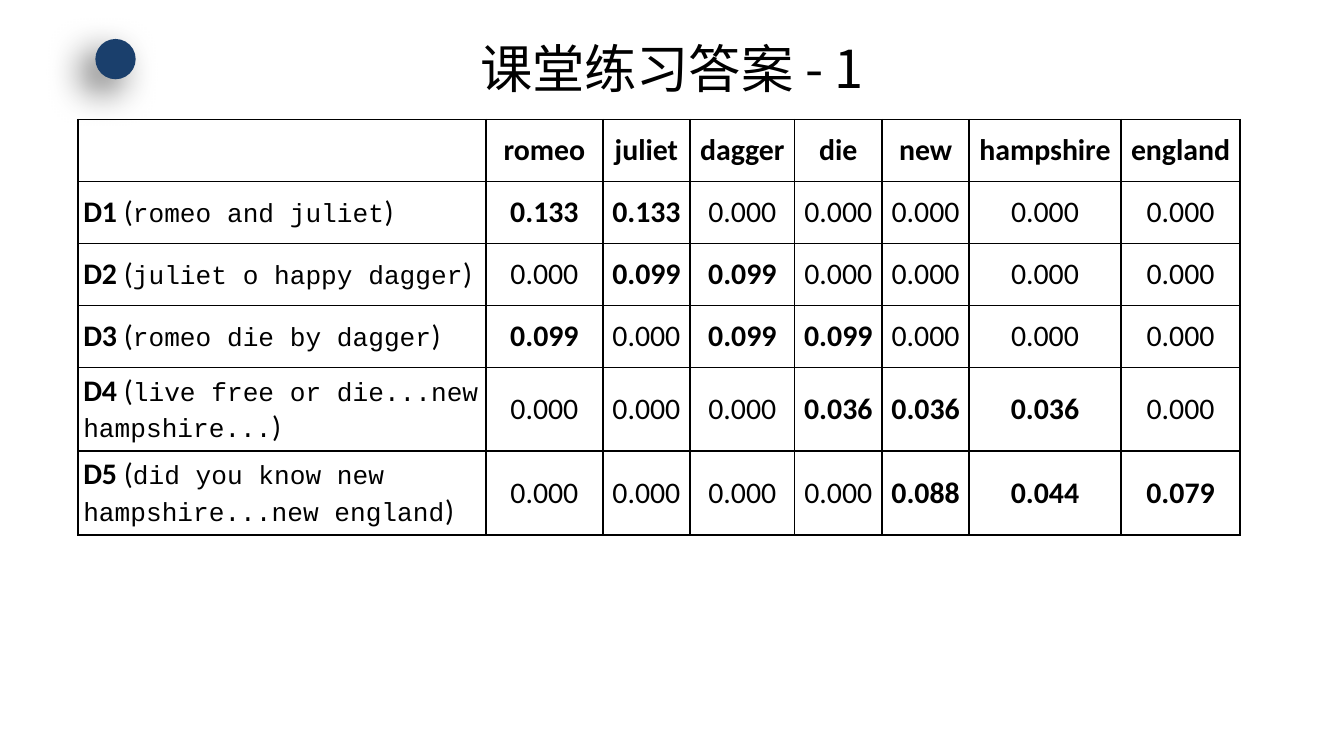
from lxml import etree
from pptx import Presentation
from pptx.dml.color import RGBColor
from pptx.enum.shapes import MSO_SHAPE
from pptx.enum.text import MSO_ANCHOR, PP_ALIGN
from pptx.oxml import parse_xml
from pptx.oxml.ns import nsdecls, qn
from pptx.util import Inches, Pt

CENTER, LEFT, MIDDLE = PP_ALIGN.CENTER, PP_ALIGN.LEFT, MSO_ANCHOR.MIDDLE
OVAL = MSO_SHAPE.OVAL
BODY, MONO, CJK = "Calibri", "Courier New", "Noto Sans CJK SC"
BLACK, NAVY = "000000", "1A3F6C"

TITLE = "课堂练习答案 - 1"
TERMS = ["romeo", "juliet", "dagger", "die", "new", "hampshire", "england"]
DOCUMENTS = [
    ("D1", "romeo and juliet", [0.133, 0.133, 0, 0, 0, 0, 0]),
    ("D2", "juliet o happy dagger", [0, 0.099, 0.099, 0, 0, 0, 0]),
    ("D3", "romeo die by dagger", [0.099, 0, 0.099, 0.099, 0, 0, 0]),
    ("D4", "live free or die...new hampshire...", [0, 0, 0, 0.036, 0.036, 0.036, 0]),
    ("D5", "did you know new hampshire...new england", [0, 0, 0, 0, 0.088, 0.044, 0.079]),
]
TABLE_WIDTH, TABLE_HEIGHT = Inches(8.65), Inches(3.09)
COL_SHARES = [3.04, 0.87, 0.65, 0.78, 0.65, 0.65, 1.13, 0.89]
ROW_SHARES = [0.46] * 4 + [0.62] * 2


def rgb(color):
    return RGBColor.from_string(color)


def split(length, shares):
    return [round(length * share / sum(shares)) for share in shares]


def add_run(p, text, size=16, font=BODY, bold=False):
    r = p.add_run()
    r.text = text
    r.font.size, r.font.name, r.font.bold = Pt(size), font, bold
    r.font.color.rgb = rgb(BLACK)
    return r


def add_shadow(shape, blur, distance, angle, opacity):
    shape._element.spPr.append(parse_xml(
        f'<a:effectLst {nsdecls("a")}><a:outerShdw blurRad="{Pt(blur)}" dist="{Pt(distance)}" '
        f'dir="{angle * 60000}" algn="ctr" rotWithShape="0"><a:srgbClr val="{BLACK}">'
        f'<a:alpha val="{opacity * 1000}"/></a:srgbClr></a:outerShdw></a:effectLst>'))


def format_cell(cell):
    """Give a cell thin black borders, no fill and narrow margins."""
    cell.vertical_anchor = MIDDLE
    cell.margin_left = cell.margin_right = Inches(0.04)
    cell.margin_top = cell.margin_bottom = Inches(0.02)
    for side in "LRTB":
        cell._tc.get_or_add_tcPr().append(parse_xml(
            f'<a:ln{side} {nsdecls("a")} w="{Pt(1)}"><a:solidFill>'
            f'<a:srgbClr val="{BLACK}"/></a:solidFill></a:ln{side}>'))
    cell.fill.background()


def add_title(s):
    title = s.shapes.title
    title.left, title.top = Inches(0.5), Inches(0.23)
    title.width, title.height = Inches(9), Inches(0.55)
    tf = title.text_frame
    tf.vertical_anchor = MIDDLE
    p = tf.paragraphs[0]
    p.alignment = CENTER
    r = add_run(p, TITLE, 28, CJK)
    etree.SubElement(r.font._element, qn("a:ea"), typeface=CJK)


def add_dot(s):
    dot = s.shapes.add_shape(OVAL, Inches(0.71), Inches(0.29), Inches(0.3), Inches(0.3))
    dot.fill.solid()
    dot.fill.fore_color.rgb = rgb(NAVY)
    dot.line.fill.background()
    add_shadow(dot, blur=20, distance=10, angle=135, opacity=60)


def add_weights_table(s):
    table = s.shapes.add_table(len(ROW_SHARES), len(COL_SHARES), Inches(0.58), Inches(0.89),
                               TABLE_WIDTH, TABLE_HEIGHT).table
    table.first_row = table.horz_banding = False
    for column, width in zip(table.columns, split(TABLE_WIDTH, COL_SHARES)):
        column.width = width
    for row, height in zip(table.rows, split(TABLE_HEIGHT, ROW_SHARES)):
        row.height = height
    for cell in table.iter_cells():
        format_cell(cell)
        cell.text_frame.paragraphs[0].alignment = CENTER

    for col, term in enumerate(TERMS, 1):
        add_run(table.cell(0, col).text_frame.paragraphs[0], term, bold=True)
    for row, (name, words, weights) in enumerate(DOCUMENTS, 1):
        p = table.cell(row, 0).text_frame.paragraphs[0]
        p.alignment = LEFT
        add_run(p, name, bold=True)
        add_run(p, " (")
        add_run(p, words, 14, MONO)
        add_run(p, ")")
        for col, weight in enumerate(weights, 1):
            p = table.cell(row, col).text_frame.paragraphs[0]
            add_run(p, f"{weight:.3f}", bold=weight > 0)


def main():
    prs = Presentation()
    prs.slide_width = Inches(10)
    prs.slide_height = prs.slide_width * 9 // 16
    s = prs.slides.add_slide(prs.slide_layouts[5])
    add_dot(s)
    add_title(s)
    add_weights_table(s)
    prs.save("out.pptx")


if __name__ == "__main__":
    main()
